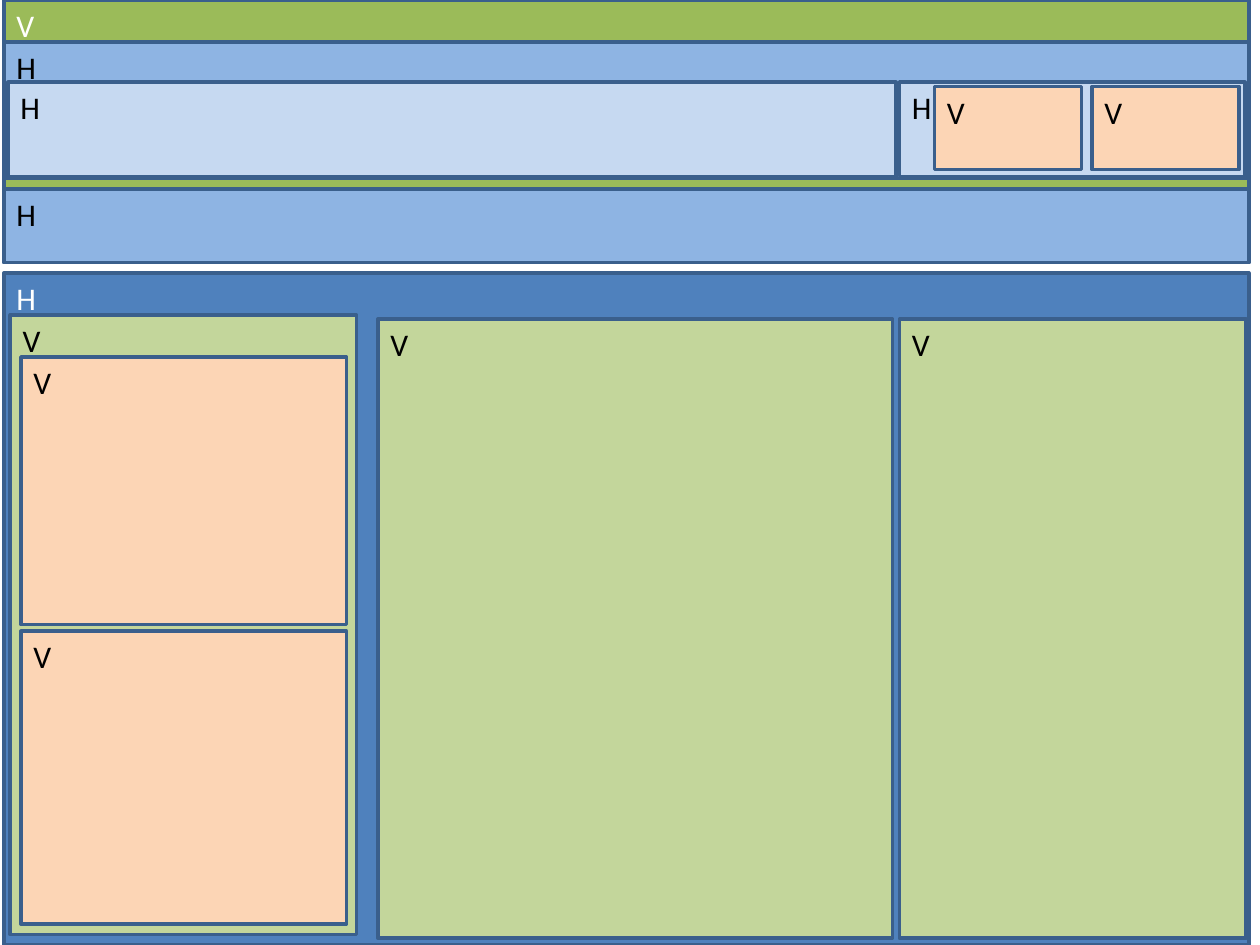
import pptx
import pptx.util
import pptx.dml.color
import pptx.enum.shapes
import pptx.enum.text

Pt = pptx.util.Pt
RGB = pptx.dml.color.RGBColor.from_string

COLORS = {
    "blue": "4F81BD", "sky": "8EB4E3", "pale": "C6D9F1",
    "green": "9BBB59", "lime": "C3D69B", "peach": "FCD5B5",
    "edge": "3A5F8C", "white": "FFFFFF", "black": "000000",
}
FRAME = {
    "word_wrap": True,
    "vertical_anchor": pptx.enum.text.MSO_ANCHOR.TOP,
    "margin_left": Pt(7.2), "margin_right": Pt(7.2),
    "margin_top": Pt(3.6), "margin_bottom": Pt(3.6),
}
FONT = {"name": "Calibri", "size": Pt(18)}


class Sketch:
    def __init__(self, slide):
        self.slide = slide

    def style(self, item, values):
        for name, value in values.items():
            setattr(item, name, value)

    def box(self, text, fill, left, top, width, height, ink="black"):
        kind = pptx.enum.shapes.MSO_SHAPE.RECTANGLE
        box = self.slide.shapes.add_shape(
            kind, Pt(left), Pt(top), Pt(width), Pt(height))
        box.shadow.inherit = False
        box.fill.solid()
        box.fill.fore_color.rgb = RGB(COLORS[fill])
        box.line.color.rgb = RGB(COLORS["edge"])
        box.line.width = Pt(2)
        self.style(box.text_frame, FRAME)
        para = box.text_frame.paragraphs[0]
        para.alignment = pptx.enum.text.PP_ALIGN.LEFT
        run = para.add_run()
        run.text = text
        self.style(run.font, FONT)
        run.font.color.rgb = RGB(COLORS[ink])


deck = pptx.Presentation()
deck.slide_width, deck.slide_height = Pt(720), Pt(540)
art = Sketch(deck.slides.add_slide(deck.slide_layouts[6]))

# Outer frames: body and header
edge, full = 2.2, 711.4
art.box("H", "blue", edge, 156, full, 384, "white")
art.box("V", "green", edge, 0, full, 150, "white")

# Body columns
for left, top, width in ((5.8, 180, 198), (216, 182.2, 294), (514, 182.2, 198)):
    art.box("V", "lime", left, top, width, 354)

# Panels in the left column
for top, height in ((204, 153), (360.7, 167.3)):
    art.box("V", "peach", 12, top, 186, height)

# Header rows
for top, height in ((24, 78), (108, 42)):
    art.box("H", "sky", edge, top, full, height)

# Cells in the first header row
for left, width in ((4.5, 507.6), (514, 197.5)):
    art.box("H", "pale", left, 47, width, 54)

# Small panels in the right cell
for col in range(2):
    art.box("V", "peach", 534 + 90 * col, 49.5, 84, 47.5)

deck.save("out.pptx")
